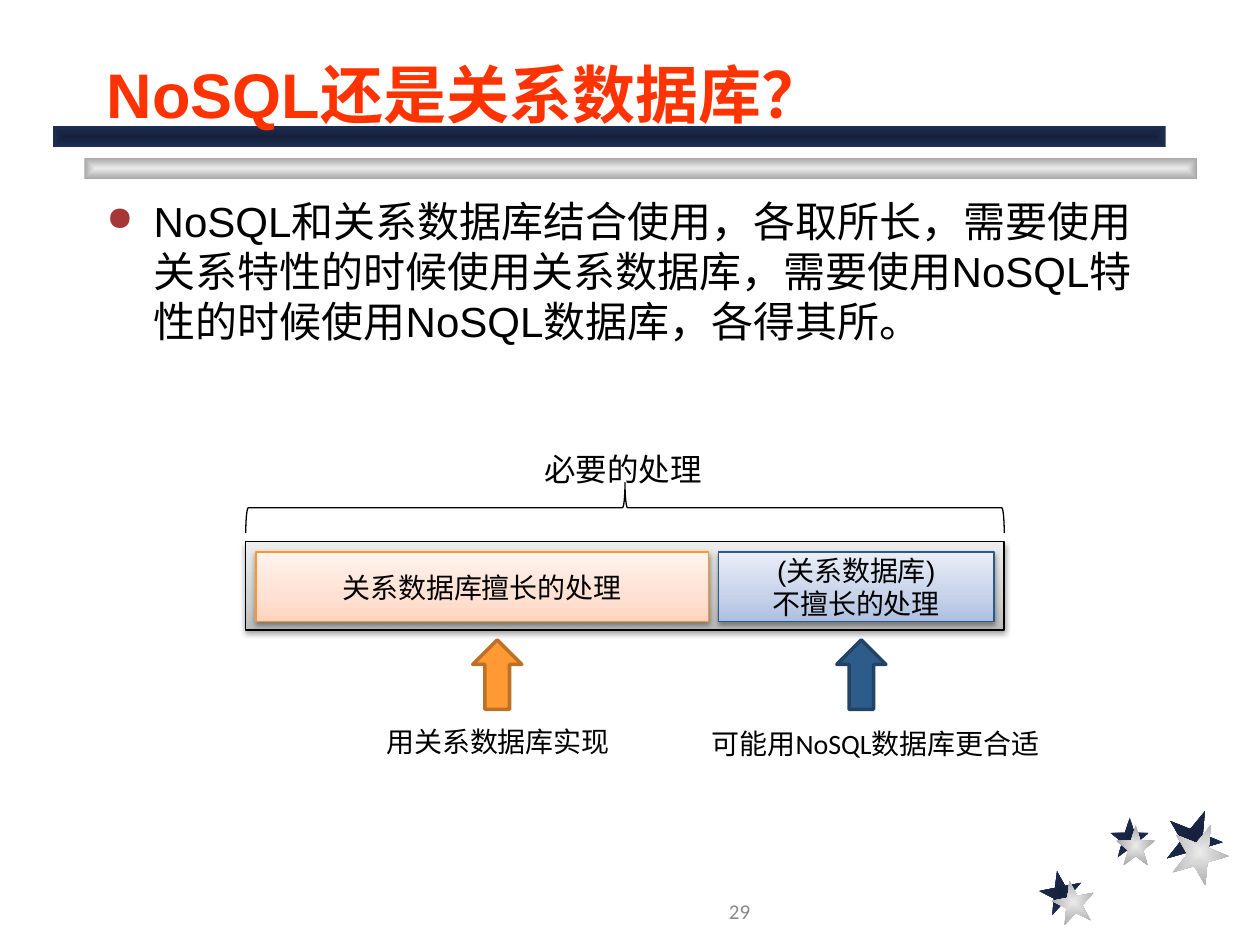
from lxml import etree
from pptx import Presentation, oxml
from pptx import util as u
from pptx.dml.color import RGBColor
from pptx.enum import shapes, text
from pptx.oxml import ns

rgb = RGBColor.from_string
Cm, Pt = u.Cm, u.Pt
Kind = shapes.MSO_SHAPE
Align, Anchor = text.PP_ALIGN, text.MSO_ANCHOR

NAVY = [(0, "15213B"), (100, "1E2E53")]
SILVER = [(0, "EAEAEA"), (100, "A7A7A7")]


def add_gradient_shape(kind, box, stops, direction):
    """Add a shape whose gradient runs as the a:lin or a:path XML in direction says."""
    shape = page.shapes.add_shape(kind, *map(Cm, box))
    shape.shadow.inherit = False
    shape.line.fill.background()
    shape.fill.background()
    stop_xml = "".join(
        f'<a:gs pos="{pos * 1000}"><a:srgbClr val="{color}"/></a:gs>' for pos, color in stops)
    gradient = oxml.parse_xml(
        f'<a:gradFill {ns.nsdecls("a")} rotWithShape="1">'
        f"<a:gsLst>{stop_xml}</a:gsLst>{direction}</a:gradFill>")
    properties = shape.element.spPr
    properties.replace(properties.find(ns.qn("a:noFill")), gradient)
    return shape


def add_text(box, words, size, font="Calibri", color="000000", wrap=True):
    label = page.shapes.add_textbox(*map(Cm, box))
    label.text_frame.word_wrap = wrap
    para = label.text_frame.paragraphs[0]
    para.add_run().text = words
    para.font.size, para.font.name = Pt(size), font
    para.font.color.rgb = rgb(color)
    return label


deck = Presentation()
deck.slide_width, deck.slide_height = Cm(25.4), Cm(19.05)
page = deck.slides.add_slide(deck.slide_layouts[6])

# Stars and the two title bars
from_centre = '<a:path path="shape"><a:fillToRect l="50000" t="50000" r="50000" b="50000"/></a:path>'
star_sizes = [(0.86, 0.86, 349), (0.79, 0.81, 0), (1.14, 1.17, 22)]
star_layers = [
    (NAVY, [(20.96, 17.55), (22.38, 16.48), (23.5, 16.31)]),
    (SILVER, [(21.21, 17.75), (22.5, 16.64), (23.62, 16.59)]),
]
for stops, places in star_layers:
    for (left, top), (width, height, angle) in zip(places, star_sizes):
        star = add_gradient_shape(Kind.STAR_5_POINT, (left, top, width, height), stops, from_centre)
        star.rotation = angle
for stops, left, top in [(SILVER, 1.7, 3.18), (NAVY, 1.07, 2.54)]:
    add_gradient_shape(Kind.RECTANGLE, (left, top, 22.43, 0.43), stops, from_centre)

# Title, body and page number
title = add_text((1.9, 0.43, 21.59, 2.34), "NoSQL还是关系数据库？", 36, "Arial", "FF3300")
title.text_frame.vertical_anchor = Anchor.BOTTOM
title.text_frame.paragraphs[0].font.bold = True

body = page.shapes.add_textbox(Cm(1.9), Cm(3.81), Cm(21.59), Cm(13.54))
body.text_frame.word_wrap = True
para = body.text_frame.paragraphs[0]
para.add_run().text = (
    "NoSQL和关系数据库结合使用，各取所长，需要使用关系特性的时候使用关系数据库，"
    "需要使用NoSQL特性的时候使用NoSQL数据库，各得其所。")
bullet = para._p.get_or_add_pPr()
bullet.set("marL", str(Cm(0.95)))
bullet.set("indent", str(Cm(-0.95)))
bullet_color = etree.SubElement(bullet, ns.qn("a:buClr"))
etree.SubElement(bullet_color, ns.qn("a:srgbClr"), val="A73737")
etree.SubElement(bullet, ns.qn("a:buSzPct"), val="80000")
etree.SubElement(bullet, ns.qn("a:buChar"), char="●")
para.font.size, para.font.name = Pt(24), "Arial"
para.font.color.rgb = rgb("000000")

number = add_text((9.73, 17.98, 10.36, 0.84), "29", 12, color="898989")
number.text_frame.paragraphs[0].alignment = Align.CENTER

# Frame with the two kinds of processing
panels = [
    ((4.95, 10.92, 15.29, 1.78), ("BDBDBD", "D1D1D1", "EEEEEE"), "000000", []),
    ((5.16, 11.13, 9.12, 1.4), ("FFD4BF", "FFE0D2", "FFF3EE"), "FE962D", ["关系数据库擅长的处理"]),
    ((14.48, 11.13, 5.56, 1.4), ("ADBFE1", "C6D2E9", "E9EEF7"), "2A5A89",
     ["(关系数据库)", "不擅长的处理"]),
]
for box, colors, outline, lines in panels:
    panel = add_gradient_shape(Kind.RECTANGLE, box, list(zip((0, 35, 100), colors)),
                               '<a:lin ang="16200000" scaled="0"/>')
    panel.line.color.rgb = rgb(outline)
    panel.line.width = Pt(0.75)
    panel.element.spPr.find(ns.qn("a:effectLst")).append(oxml.parse_xml(
        f'<a:outerShdw {ns.nsdecls("a")} blurRad="40000" dist="20000" dir="5400000" rotWithShape="0">'
        '<a:srgbClr val="000000"><a:alpha val="38000"/></a:srgbClr></a:outerShdw>'))
    frame = panel.text_frame
    frame.vertical_anchor = Anchor.MIDDLE
    for index, words in enumerate(lines):
        para = frame.add_paragraph() if index else frame.paragraphs[0]
        para.add_run().text = words
        para.alignment = Align.CENTER
        para.font.size, para.font.name = Pt(16), "Arial"
        para.font.color.rgb = rgb("000000")

# Brace over the frame, arrows under it
brace = page.shapes.add_shape(Kind.RIGHT_BRACE, Cm(12.09), Cm(2.59), Cm(1.02), Cm(15.29))
brace.rotation = 270
brace.adjustments[0], brace.adjustments[1] = 0.05, 0.5
brace.shadow.inherit = False
brace.fill.background()
brace.line.color.rgb = rgb("000000")
brace.line.width = Pt(0.75)

for left, color, outline in [(9.53, "FF9933", "BD7126"), (16.87, "2D5C8A", "214466")]:
    arrow = page.shapes.add_shape(Kind.UP_ARROW, Cm(left), Cm(12.9), Cm(0.99), Cm(1.4))
    arrow.shadow.inherit = False
    arrow.fill.solid()
    arrow.fill.fore_color.rgb = rgb(color)
    arrow.line.color.rgb = rgb(outline)
    arrow.line.width = Pt(2)

add_text((10.72, 8.94, 3.71, 1.02), "必要的处理", 18, wrap=False)
add_text((7.54, 14.48, 5.08, 0.94), "用关系数据库实现", 16, wrap=False)
add_text((14.1, 14.53, 7.21, 0.94), "可能用NoSQL数据库更合适", 16)

deck.save("out.pptx")
